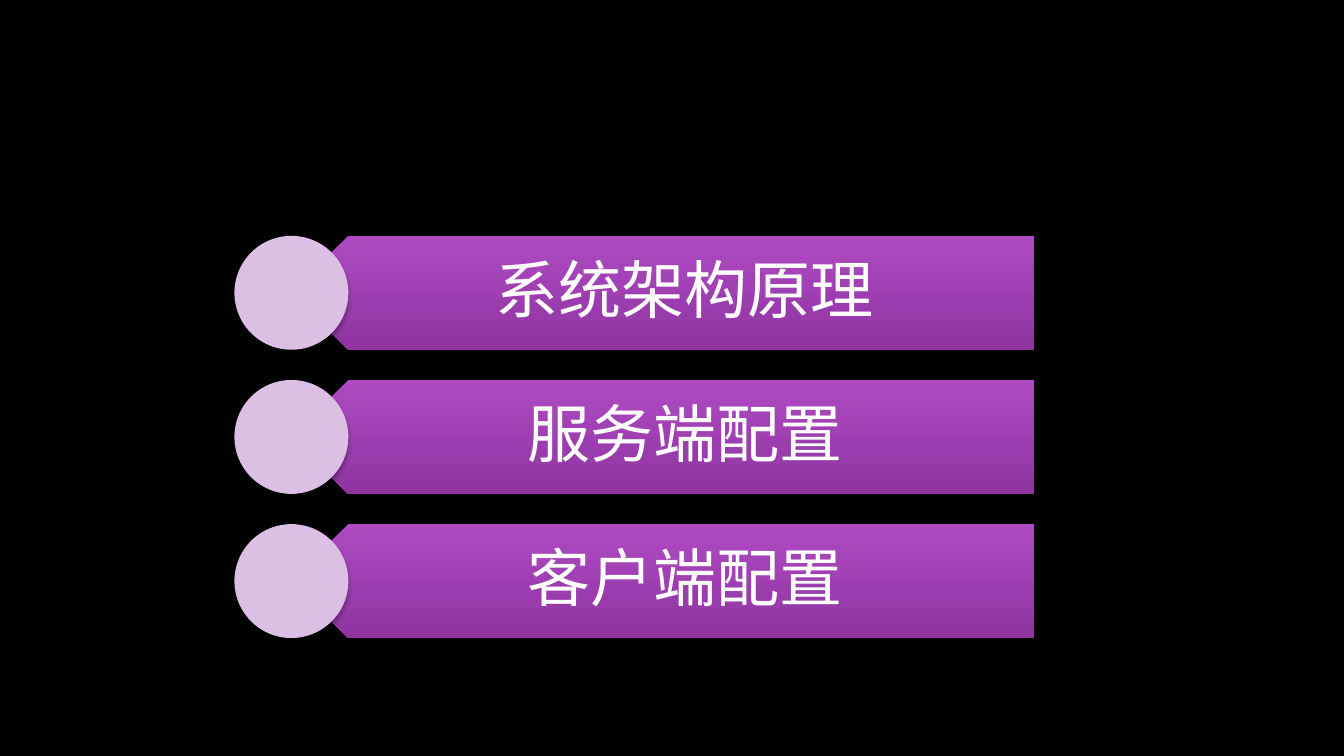
from dataclasses import dataclass

from lxml import etree
from pptx import Presentation
from pptx.dml.color import RGBColor
from pptx.enum.shapes import MSO_SHAPE
from pptx.enum.text import MSO_ANCHOR, PP_ALIGN
from pptx.oxml.ns import qn
from pptx.shapes.autoshape import Shape
from pptx.shapes.shapetree import GroupShapes
from pptx.util import Inches, Pt

PENTAGON, OVAL = MSO_SHAPE.PENTAGON, MSO_SHAPE.OVAL
CENTER, MIDDLE = PP_ALIGN.CENTER, MSO_ANCHOR.MIDDLE

BLACK = RGBColor(0x00, 0x00, 0x00)
WHITE = RGBColor(0xFF, 0xFF, 0xFF)
PURPLE_LIGHT = RGBColor(0xAE, 0x4A, 0xC2)
PURPLE_DARK = RGBColor(0x8F, 0x34, 0xA1)
LILAC = RGBColor(0xDB, 0xC0, 0xE3)

BAR_LEFT, BAR_WIDTH = 2.89, 7.37
ROW_TOP, ROW_HEIGHT, ROW_PITCH = 2.34, 1.13, 1.43
TEXT_INDENT = 0.28


@dataclass
class AgendaItem:
    text: str
    top: float


TOPICS = ("系统架构原理", "服务端配置", "客户端配置")
ITEMS = [AgendaItem(t, ROW_TOP + i * ROW_PITCH) for i, t in enumerate(TOPICS)]


def add_shadow(sp: Shape) -> None:
    """Give the shape a soft black shadow falling straight down."""
    sp.shadow.inherit = False
    effects = sp._element.spPr.find(qn("a:effectLst"))
    shadow = etree.SubElement(
        effects, qn("a:outerShdw"), blurRad=str(Pt(4)), dist=str(Pt(3)),
        dir="5400000", rotWithShape="0")
    color = etree.SubElement(shadow, qn("a:srgbClr"), val=str(BLACK))
    etree.SubElement(color, qn("a:alpha"), val="35000")


def add_bar(shapes: GroupShapes, top: float) -> None:
    sp = shapes.add_shape(PENTAGON, Inches(BAR_LEFT), Inches(top),
                          Inches(BAR_WIDTH), Inches(ROW_HEIGHT))
    sp.rotation = 180
    sp.fill.gradient()
    sp.fill.gradient_angle = 270
    for stop, color in zip(sp.fill.gradient_stops, (PURPLE_LIGHT, PURPLE_DARK)):
        stop.color.rgb = color
    # Keep the light end on top although the bar is turned round
    sp._element.spPr.find(qn("a:gradFill")).set("rotWithShape", "0")
    sp.line.fill.background()
    add_shadow(sp)


def add_label(shapes: GroupShapes, item: AgendaItem) -> None:
    sp = shapes.add_textbox(Inches(BAR_LEFT + TEXT_INDENT), Inches(item.top),
                            Inches(BAR_WIDTH - TEXT_INDENT), Inches(ROW_HEIGHT))
    tf = sp.text_frame
    tf.word_wrap = True
    tf.vertical_anchor = MIDDLE
    tf.margin_left, tf.margin_right = Inches(0.5), Inches(0.35)
    tf.margin_top = tf.margin_bottom = Inches(0.19)
    p = tf.paragraphs[0]
    p.text = item.text
    p.alignment = CENTER
    p.line_spacing = 0.9
    p.font.name = "Calibri"
    p.font.size = Pt(45)
    p.font.color.rgb = WHITE


def add_circle(shapes: GroupShapes, top: float) -> None:
    """Draw the circle centred on the tip of the bar."""
    sp = shapes.add_shape(OVAL, Inches(BAR_LEFT - ROW_HEIGHT / 2), Inches(top),
                          Inches(ROW_HEIGHT), Inches(ROW_HEIGHT))
    sp.fill.solid()
    sp.fill.fore_color.rgb = LILAC
    sp.line.fill.background()
    add_shadow(sp)


def main() -> None:
    prs = Presentation()
    prs.slide_width, prs.slide_height = Inches(13.33), Inches(7.5)
    slide = prs.slides.add_slide(prs.slide_layouts[6])
    slide.background.fill.solid()
    slide.background.fill.fore_color.rgb = BLACK

    agenda = slide.shapes.add_group_shape()
    for item in ITEMS:
        add_bar(agenda.shapes, item.top)
        add_label(agenda.shapes, item)
        add_circle(agenda.shapes, item.top)
    prs.save("out.pptx")


if __name__ == "__main__":
    main()
